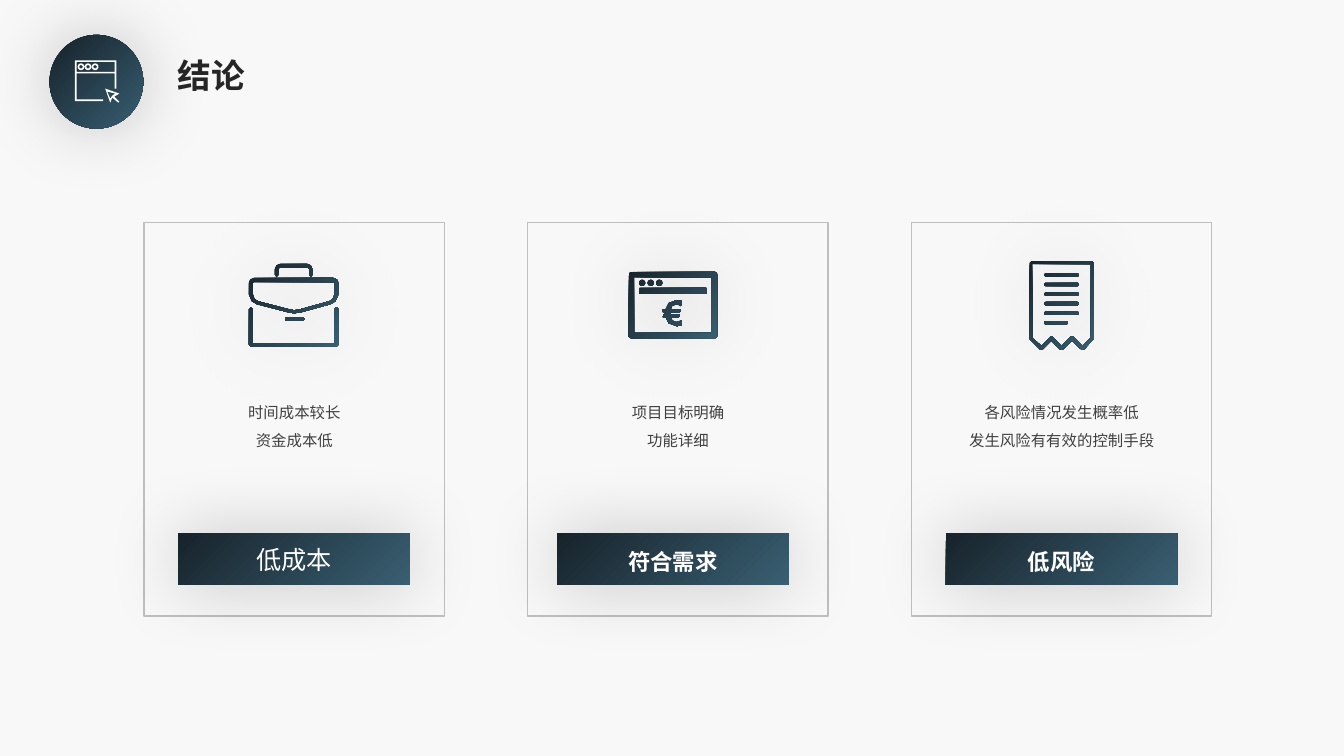
import math

import pptx
import pptx.dml.color
import pptx.enum.shapes
import pptx.enum.text
import pptx.oxml
import pptx.oxml.ns
import pptx.util
from lxml import etree

Cm, Pt = pptx.util.Cm, pptx.util.Pt
ALIGN = pptx.enum.text.PP_ALIGN
ANCHOR = pptx.enum.text.MSO_ANCHOR
SHAPE = pptx.enum.shapes.MSO_SHAPE
NOTO = "Noto Sans CJK SC"
GRADIENT = ("17232B", "395F72")
ICON_UNIT = 0.0254  # cm per step of the icon grid


def paint(fill, *hexes):
    """Fill with nothing, one colour, or a diagonal gradient of two."""
    colours = [pptx.dml.color.RGBColor.from_string(code) for code in hexes]
    if not colours:
        fill.background()
    elif len(colours) == 1:
        fill.solid()
        fill.fore_color.rgb = colours[0]
    else:
        fill.gradient()
        fill.gradient_angle = 315
        for stop, colour in zip(fill.gradient_stops, colours):
            stop.color.rgb = colour


def apply(target, formats):
    """Set every attribute named in a dict of format values."""
    for name, value in formats.items():
        setattr(target, name, value)


def glow(shape):
    """Give a shape a soft, centred shadow and no outline."""
    paint(shape.line.fill)
    shape.shadow.inherit = False
    effects = shape._element.spPr.find(pptx.oxml.ns.qn("a:effectLst"))
    effects.append(pptx.oxml.parse_xml(
        f'<a:outerShdw {pptx.oxml.ns.nsdecls("a")} blurRad="{Pt(53)}" dist="0" dir="0" '
        'algn="ctr" rotWithShape="0"><a:srgbClr val="000000"><a:alpha val="20000"/>'
        '</a:srgbClr></a:outerShdw>'))


def write(frame, lines, colour, font, paragraph_formats):
    """Write one paragraph per line, all in the same format."""
    frame.word_wrap = True
    for number, line in enumerate(lines):
        paragraph = frame.paragraphs[0] if number == 0 else frame.add_paragraph()
        apply(paragraph, paragraph_formats)
        run = paragraph.add_run()
        run.text = line
        apply(run.font, font)
        paint(run.font.fill, colour)
        east_asian = etree.SubElement(run.font._element, pptx.oxml.ns.qn("a:ea"))
        east_asian.set("typeface", font["name"])


def rounded(x, y, width, height, radius=0):
    """Return the outline of a rectangle with rounded corners."""
    corners = [(x + width - radius, y + height - radius), (x + radius, y + height - radius),
               (x + radius, y + radius), (x + width - radius, y + radius)]
    return [(cx + radius * math.cos(math.radians(90 * quarter + step)),
             cy + radius * math.sin(math.radians(90 * quarter + step)))
            for quarter, (cx, cy) in enumerate(corners) for step in range(0, 91, 15)]


def dot(cx, cy, radius):
    """Return the outline of a circle."""
    return rounded(cx - radius, cy - radius, 2 * radius, 2 * radius, radius)


def icon(slide, left, top, contours, *hexes):
    """Draw contours as one shape; inner contours become holes."""
    scaled = [[(Cm(x * ICON_UNIT), Cm(y * ICON_UNIT)) for x, y in contour]
              for contour in contours]
    builder = slide.shapes.build_freeform(*scaled[0][0])
    for number, contour in enumerate(scaled):
        if number:
            builder.move_to(*contour[0])
        builder.add_line_segments(contour[1:], close=True)
    drawing = builder.convert_to_shape(Cm(left), Cm(top))
    paint(drawing.fill, *hexes)
    glow(drawing)


BROWSER = [
    [(0, 0), (41, 0), (41, 28), (39.4, 28), (39.4, 13), (1.6, 13), (1.6, 38.8),
     (28, 38.8), (28, 40.4), (0, 40.4)],
    rounded(1.6, 1.6, 37.8, 9.8),
    *[dot(x, 6.4, radius) for x in (6, 13, 20) for radius in (3.3, 1.7)],
    [(30, 28), (44, 33), (39, 36), (44, 41), (43, 42), (37, 37), (35, 42)],
    [(32, 31), (35, 38), (37, 35), (40, 33)],
]
BRIEFCASE = [
    rounded(36, 53, 19, 3.4, 1.7),
    [(0, 45), (2, 43), (4, 45), (4, 78.5), (85, 78.5), (85, 45), (87, 43), (89, 45),
     (89, 80), (87, 82), (2, 82), (0, 80)],
    [(5, 14), (84, 14), (87.5, 15.5), (89, 19), (89, 30), (86, 37), (81, 40), (52, 48),
     (45, 49), (39, 48), (8, 40), (3, 37), (0, 30), (0, 19), (1.5, 15.5)],
    [(5, 18), (84, 18), (85, 19), (85, 30), (83.5, 34.5), (80, 37), (51, 45), (45, 46),
     (40, 45), (9, 37), (5.5, 34.5), (4, 30), (4, 19)],
    [(26, 11), (26, 5), (27.5, 1.5), (31, 0), (58, 0), (61.5, 1.5), (63, 5), (63, 11),
     (61.5, 13), (60, 11), (60, 5), (58, 3.5), (31, 3.5), (29.5, 5), (29.5, 11), (27.5, 13)],
]
PAYMENT = [
    rounded(0, 0, 88, 66, 3),
    rounded(5.5, 5.5, 77, 55),
    rounded(11, 16, 66, 6),
    *[dot(x, 11, 3) for x in (13.5, 22, 30.5)],
    [(48, 28), (53, 29), (52, 34), (48, 32), (43, 34), (42, 37), (52, 37), (51, 40),
     (42, 40), (42, 42), (51, 42), (50, 45), (42, 45), (43.5, 48.5), (48, 50), (53, 48),
     (53, 53), (48, 54), (40, 51), (37, 45), (34, 45), (35, 42), (36, 42), (36, 40),
     (34, 40), (34, 37), (37, 37), (40, 31)],
]
RECEIPT = [
    *[rounded(15, 12 + 9.5 * row, 23 if row == 5 else 34, 3.4, 1.7) for row in range(6)],
    [(0, 2), (2, 0), (62, 0), (64, 2), (64, 77), (54, 88), (52, 88), (42, 79), (33, 88),
     (31, 88), (22, 79), (13, 88), (11, 88), (0, 77)],
    [(3, 3), (61, 3), (61, 76), (53, 84), (43.5, 75), (41, 75), (32, 84), (23, 75),
     (21, 75), (12, 84), (3, 76)],
]

STRONG_LABEL = {"name": NOTO, "size": Pt(16), "bold": True}
CARDS = [
    {"drawing": BRIEFCASE, "drawing_at": (2.64, 1.04), "bar_left": 0.86,
     "points": ["时间成本较长", "资金成本低"], "label": "低成本",
     "font": {"name": "Arial", "size": Pt(18), "bold": False}, "spacing": 1.0},
    {"drawing": PAYMENT, "drawing_at": (2.54, 1.24), "bar_left": 0.74,
     "points": ["项目目标明确", "功能详细"], "label": "符合需求",
     "font": STRONG_LABEL, "spacing": 1.2},
    {"drawing": RECEIPT, "drawing_at": (2.97, 0.97), "bar_left": 0.86,
     "points": ["各风险情况发生概率低", "发生风险有有效的控制手段"], "label": "低风险",
     "font": STRONG_LABEL, "spacing": 1.2},
]


def header(slide, left, top, size):
    """Place the round badge and the title beside it."""
    badge = slide.shapes.add_shape(SHAPE.OVAL, Cm(left), Cm(top), Cm(size), Cm(size))
    paint(badge.fill, *GRADIENT)
    glow(badge)
    icon(slide, left + 0.64, top + 0.64, BROWSER, "FFFFFF")
    heading = slide.shapes.title
    apply(heading, {"left": Cm(left + 2.97), "top": Cm(top + 0.38),
                    "width": Cm(9.14), "height": Cm(1.27)})
    apply(heading.text_frame, {"vertical_anchor": ANCHOR.MIDDLE,
                               "auto_size": pptx.enum.text.MSO_AUTO_SIZE.NONE})
    write(heading.text_frame, ["结论"], "262626",
          {"name": NOTO, "size": Pt(24), "bold": True}, {"alignment": ALIGN.LEFT})


def card(slide, left, top, width, height, content):
    """Place a framed card with its icon, points and label bar."""
    frame = slide.shapes.add_shape(SHAPE.RECTANGLE, Cm(left), Cm(top), Cm(width), Cm(height))
    paint(frame.fill)
    paint(frame.line.fill, "BFBFBF")
    frame.line.width = Pt(1)
    frame.shadow.inherit = False

    icon_left, icon_top = content["drawing_at"]
    icon(slide, left + icon_left, top + icon_top, content["drawing"], *GRADIENT)

    bar = slide.shapes.add_shape(SHAPE.RECTANGLE, Cm(left + content["bar_left"]),
                                 Cm(top + 7.83), Cm(5.84), Cm(1.3))
    paint(bar.fill, *GRADIENT)
    glow(bar)
    bar.text_frame.vertical_anchor = ANCHOR.MIDDLE
    write(bar.text_frame, [content["label"]], "FFFFFF", content["font"],
          {"alignment": ALIGN.CENTER, "line_spacing": content["spacing"]})

    points = slide.shapes.add_textbox(Cm(left + 0.5), Cm(top + 4.19), Cm(6.58), Cm(1.57))
    write(points.text_frame, content["points"], "404040", {"name": NOTO, "size": Pt(11)},
          {"alignment": ALIGN.CENTER, "line_spacing": 1.5})


def conclusion(presentation):
    """Build the conclusion slide: header and a row of cards."""
    slide = presentation.slides.add_slide(presentation.slide_layouts[5])
    paint(slide.background.fill, "F8F8F8")
    header(slide, 1.25, 0.88, 2.36)
    for column, content in enumerate(CARDS):
        card(slide, 3.63 + 9.67 * column, 5.61, 7.57, 9.91, content)


deck = pptx.Presentation()
apply(deck, {"slide_width": Cm(33.87), "slide_height": Cm(19.05)})
conclusion(deck)
deck.save("out.pptx")
